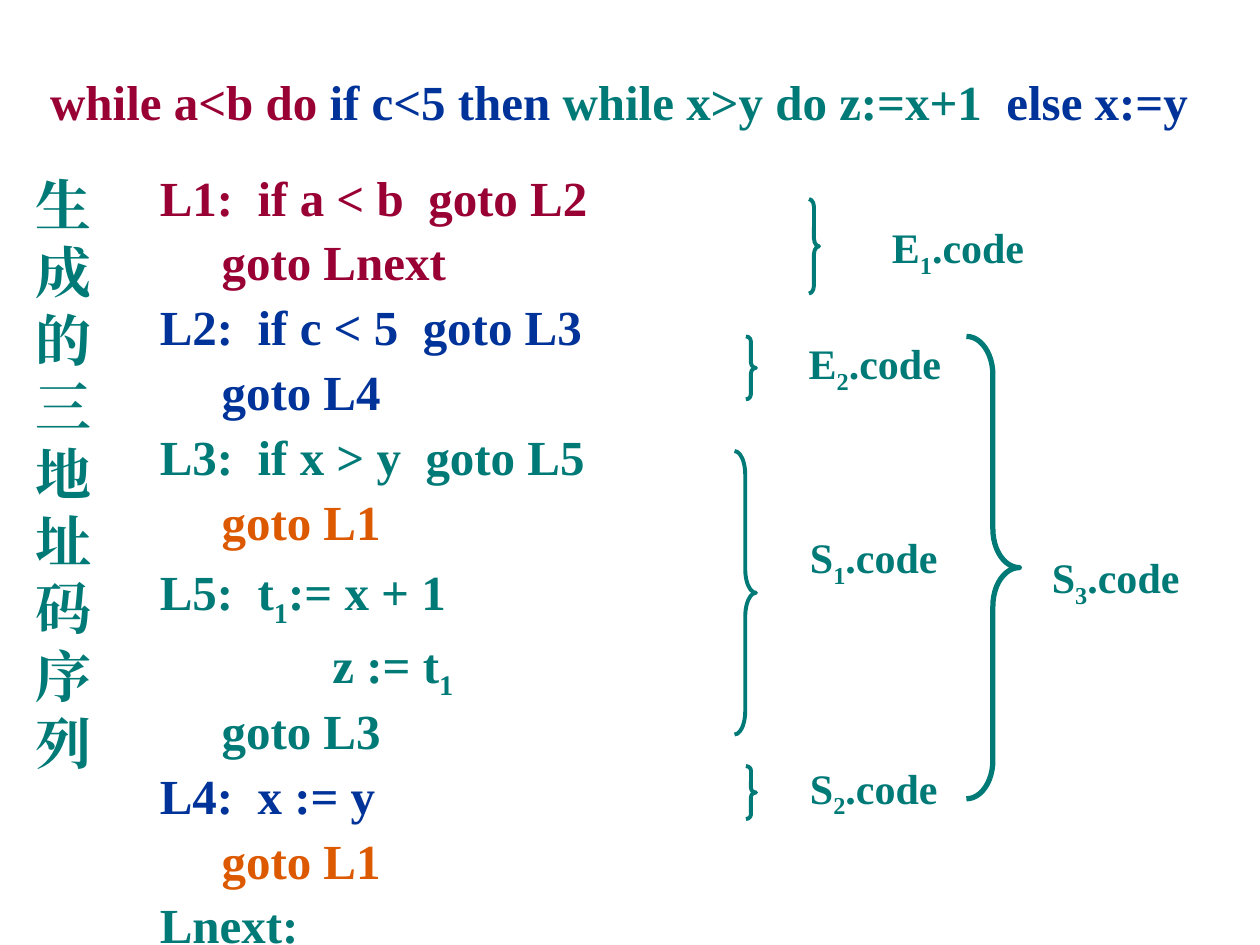
from lxml import etree
from pptx import Presentation
from pptx.dml.color import RGBColor
from pptx.enum import shapes, text
from pptx.oxml.ns import qn
from pptx.util import Inches, Pt

FONT = "Times New Roman"
TEAL, BLUE, WINE, ORANGE = "007A77", "003399", "990033", "DC5900"


def add_box(left, top, width, height, wrap=True):
    frame = slide.shapes.add_textbox(
        Inches(left), Inches(top), Inches(width), Inches(height)).text_frame
    frame.word_wrap = wrap
    return frame


def add_run(paragraph, words, size, color, subscript=False):
    run = paragraph.add_run()
    run.text = words
    run.font.size = Pt(size)
    run.font.bold = True
    run.font.name = FONT
    run.font.color.rgb = RGBColor.from_string(color)
    properties = run._r.get_or_add_rPr()
    etree.SubElement(properties, qn("a:ea")).set("typeface", FONT)
    if subscript:
        properties.set("baseline", "-25000")


prs = Presentation()
prs.slide_width, prs.slide_height = Inches(10), Inches(7.5)
slide = prs.slides.add_slide(prs.slide_layouts[6])

# Title: one character per line in a narrow box
title = add_box(0.17, 0.42, 0.67, 6.67)
title.vertical_anchor = text.MSO_ANCHOR.MIDDLE
title.paragraphs[0].alignment = text.PP_ALIGN.CENTER
add_run(title.paragraphs[0], "生成的三地址码序列", 32, TEAL)

# Generated code: indent in inches, colour, then text with its subscript
LABEL, JUMP, DEEP = 0, 0.49, 1.37
code_lines = [
    (LABEL, WINE, ["L1:  if a < b  goto L2"]),
    (JUMP, WINE, ["goto Lnext"]),
    (LABEL, BLUE, ["L2:  if c < 5  goto L3"]),
    (JUMP, BLUE, ["goto L4"]),
    (LABEL, TEAL, ["L3:  if x > y  goto L5"]),
    (JUMP, ORANGE, ["goto L1"]),
    (LABEL, TEAL, ["L5:  t", "1", ":= x + 1"]),
    (DEEP, TEAL, ["z := t", "1"]),
    (JUMP, TEAL, ["goto L3"]),
    (LABEL, BLUE, ["L4:  x := y"]),
    (JUMP, ORANGE, ["goto L1"]),
    (LABEL, TEAL, ["Lnext:"]),
]
code = add_box(1.17, 1.33, 4.75, 6.17)
for row, (indent, color, parts) in enumerate(code_lines):
    line = code.add_paragraph() if row else code.paragraphs[0]
    line.line_spacing = 0.9
    if row:
        line.space_before = Pt(6.8)
    line._p.get_or_add_pPr().set("marL", str(Inches(indent)))
    for index, part in enumerate(parts):
        add_run(line, part, 28, color, subscript=index == 1)

# Braces with the attribute each one stands for
braces = [
    # left, top, width, height, line width, letter, index, label position
    (6.42, 1.58, 0.08, 0.75, 2.25, "E", "1", (6.98, 1.71)),
    (5.92, 2.67, 0.08, 0.5, 2.25, "E", "2", (6.32, 2.63)),
    (5.83, 3.58, 0.17, 2.25, 2.25, "S", "1", (6.33, 4.17)),
    (5.92, 6.08, 0.08, 0.42, 2.25, "S", "2", (6.33, 6)),
    (7.67, 2.67, 0.42, 3.67, 3, "S", "3", (8.25, 4.33)),
]
for left, top, width, height, weight, letter, index, (label_x, label_y) in braces:
    brace = slide.shapes.add_shape(
        shapes.MSO_SHAPE.RIGHT_BRACE,
        Inches(left), Inches(top), Inches(width), Inches(height))
    brace.adjustments[0] = height / width / 12
    brace.shadow.inherit = False
    brace.fill.background()
    brace.line.color.rgb = RGBColor.from_string(TEAL)
    brace.line.width = Pt(weight)

    label = add_box(label_x, label_y, 1.27 if letter == "E" else 1.23, 0.5, wrap=False)
    label.auto_size = text.MSO_AUTO_SIZE.SHAPE_TO_FIT_TEXT
    add_run(label.paragraphs[0], letter, 24, TEAL)
    add_run(label.paragraphs[0], index, 24, TEAL, subscript=True)
    add_run(label.paragraphs[0], ".code", 24, TEAL)

# Source statement
statement = add_box(0.3, 0.52, 9.5, 0.57)
statement.auto_size = text.MSO_AUTO_SIZE.SHAPE_TO_FIT_TEXT
for words, color in [
    ("while a<b do", WINE),
    (" if c<5 then ", BLUE),
    ("while x>y do z:=x+1  ", TEAL),
    ("else x:=y", BLUE),
]:
    add_run(statement.paragraphs[0], words, 28, color)

prs.save("out.pptx")
